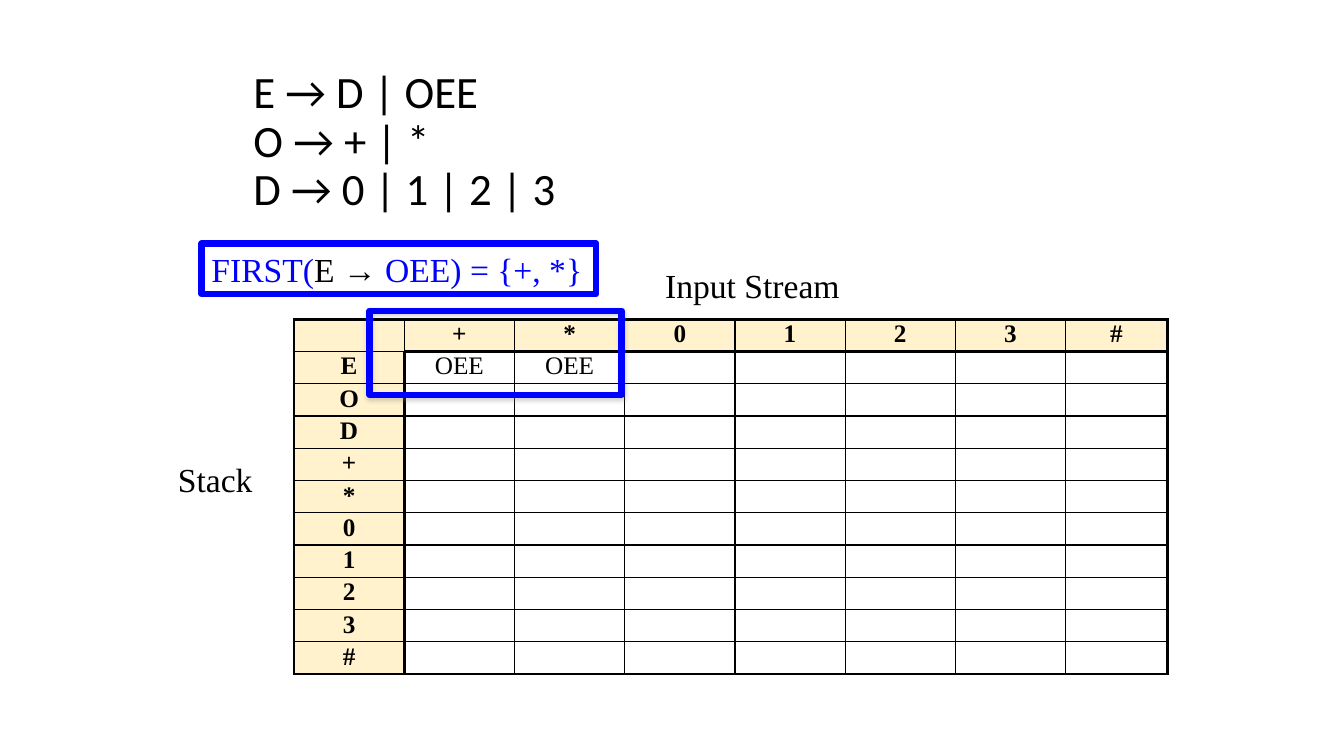
import pptx
import pptx.util
import pptx.dml.color
import pptx.enum.shapes
import pptx.enum.text
import pptx.oxml
import pptx.oxml.ns
import lxml.etree

COLORS = {"ink": "000000", "header": "FFF2CC", "highlight": "0000FF", "shadow": "808080"}
SERIF = "Times New Roman"
THIN, THICK = 1, 2.25

presentation = pptx.Presentation()
presentation.slide_width = pptx.util.Inches(13.33)
presentation.slide_height = pptx.util.Inches(7.5)
slide = presentation.slides.add_slide(presentation.slide_layouts[6])
column = presentation.slide_width / 160
row = presentation.slide_height / 90


def place(left, top, width, height):
    """Turn grid columns and rows into slide lengths."""
    return [round(length) for length in (left * column, top * row, width * column, height * row)]


def add_run(paragraph, text, size, name=SERIF, color="ink", bold=False):
    run = paragraph.add_run()
    run.text = text
    for attribute, value in {"size": pptx.util.Pt(size), "name": name, "bold": bold}.items():
        setattr(run.font, attribute, value)
    run.font.color.rgb = pptx.dml.color.RGBColor.from_string(COLORS[color])


# Grammar rules
grammar = slide.shapes.add_textbox(*place(29, 5, 56, 24)).text_frame
grammar.word_wrap = True
grammar.vertical_anchor = pptx.enum.text.MSO_ANCHOR.MIDDLE
paragraph = grammar.paragraphs[0]
paragraph.line_spacing = 0.9
for index, rule in enumerate(["E → D | OEE", "O → + | *", "D → 0 | 1 | 2 | 3"]):
    if index:
        paragraph.add_line_break()
    add_run(paragraph, rule, 32, "Calibri")

# Parse table
inputs = ["+", "*", "0", "1", "2", "3", "#"]
stack = ["E", "O", "D"] + inputs
entries = {("E", "+"): "OEE", ("E", "*"): "OEE"}
last_row, last_column = len(stack), len(inputs)
shape = slide.shapes.add_table(last_row + 1, last_column + 1, *place(35, 38, 104, 42.24))
table = shape.table
table.first_row = table.horz_banding = False
last_width = pptx.util.Inches(1.01)
for index, table_column in enumerate(table.columns):
    table_column.width = last_width if index == last_column else round((104 * column - last_width) / last_column)
for table_row in table.rows:
    table_row.height = pptx.util.Inches(0.32)

cell_format = {
    "margin_left": pptx.util.Inches(0.1),
    "margin_right": pptx.util.Inches(0.1),
    "margin_top": pptx.util.Inches(0.01),
    "margin_bottom": pptx.util.Inches(0.01),
}
for r, stack_symbol in enumerate([""] + stack):
    for c, input_symbol in enumerate([""] + inputs):
        cell = table.cell(r, c)
        for attribute, value in cell_format.items():
            setattr(cell, attribute, value)
        is_header = r == 0 or c == 0
        if is_header:
            cell.fill.solid()
            cell.fill.fore_color.rgb = pptx.dml.color.RGBColor.from_string(COLORS["header"])
            text = stack_symbol or input_symbol
        else:
            cell.fill.background()
            text = entries.get((stack_symbol, input_symbol), "")

        paragraph = cell.text_frame.paragraphs[0]
        paragraph.alignment = pptx.enum.text.PP_ALIGN.CENTER
        if text:
            add_run(paragraph, text, 18, bold=is_header)
        else:
            lxml.etree.SubElement(paragraph._p, pptx.oxml.ns.qn("a:endParaRPr"), sz="1200")

        heavy_sides = {
            "L": c == 0 or (c == 1 and r > 0),
            "R": c == last_column or (c == 0 and r > 0),
            "T": r == 0 or (r == 1 and c > 0),
            "B": r == last_row or (r == 0 and c > 0),
        }
        properties = cell._tc.get_or_add_tcPr()
        for position, (side, heavy) in enumerate(heavy_sides.items()):
            width = pptx.util.Pt(THICK if heavy else THIN)
            properties.insert(position, pptx.oxml.parse_xml(
                f'<a:ln{side} {pptx.oxml.ns.nsdecls("a")} w="{width}"><a:solidFill>'
                f'<a:srgbClr val="{COLORS["ink"]}"/></a:solidFill></a:ln{side}>'))

# Axis labels
for text, box in {"Stack": (20, 54, 15, 6), "Input Stream": (78, 31, 26, 6)}.items():
    label = slide.shapes.add_textbox(*place(*box)).text_frame
    label.word_wrap = True
    label.auto_size = pptx.enum.text.MSO_AUTO_SIZE.SHAPE_TO_FIT_TEXT
    add_run(label.paragraphs[0], text, 24)

# Blue frames: the FIRST set and the table entries it fills
frames = []
for box in [(24, 29, 47, 6), (44, 37, 30, 10)]:
    frame = slide.shapes.add_shape(pptx.enum.shapes.MSO_SHAPE.RECTANGLE, *place(*box))
    frame.shadow.inherit = False
    frame.fill.background()
    frame.line.color.rgb = pptx.dml.color.RGBColor.from_string(COLORS["highlight"])
    frame.line.width = pptx.util.Pt(4.5)
    frames.append(frame)
first_set, entry_frame = frames

first_text = first_set.text_frame
first_text.word_wrap = False
first_text.auto_size = pptx.enum.text.MSO_AUTO_SIZE.SHAPE_TO_FIT_TEXT
paragraph = first_text.paragraphs[0]
paragraph.alignment = pptx.enum.text.PP_ALIGN.LEFT
for text, color in [("FIRST(", "highlight"), ("E → ", "ink"), ("OEE) = {+, *}", "highlight")]:
    add_run(paragraph, text, 24, color=color)

effects = entry_frame._element.spPr.find(pptx.oxml.ns.qn("a:effectLst"))
effects.append(pptx.oxml.parse_xml(
    f'<a:outerShdw {pptx.oxml.ns.nsdecls("a")} blurRad="{pptx.util.Pt(3.1)}" dist="{pptx.util.Pt(1.8)}" '
    f'dir="5400000" rotWithShape="0"><a:srgbClr val="{COLORS["shadow"]}">'
    '<a:alpha val="35000"/></a:srgbClr></a:outerShdw>'))

presentation.save("out.pptx")
